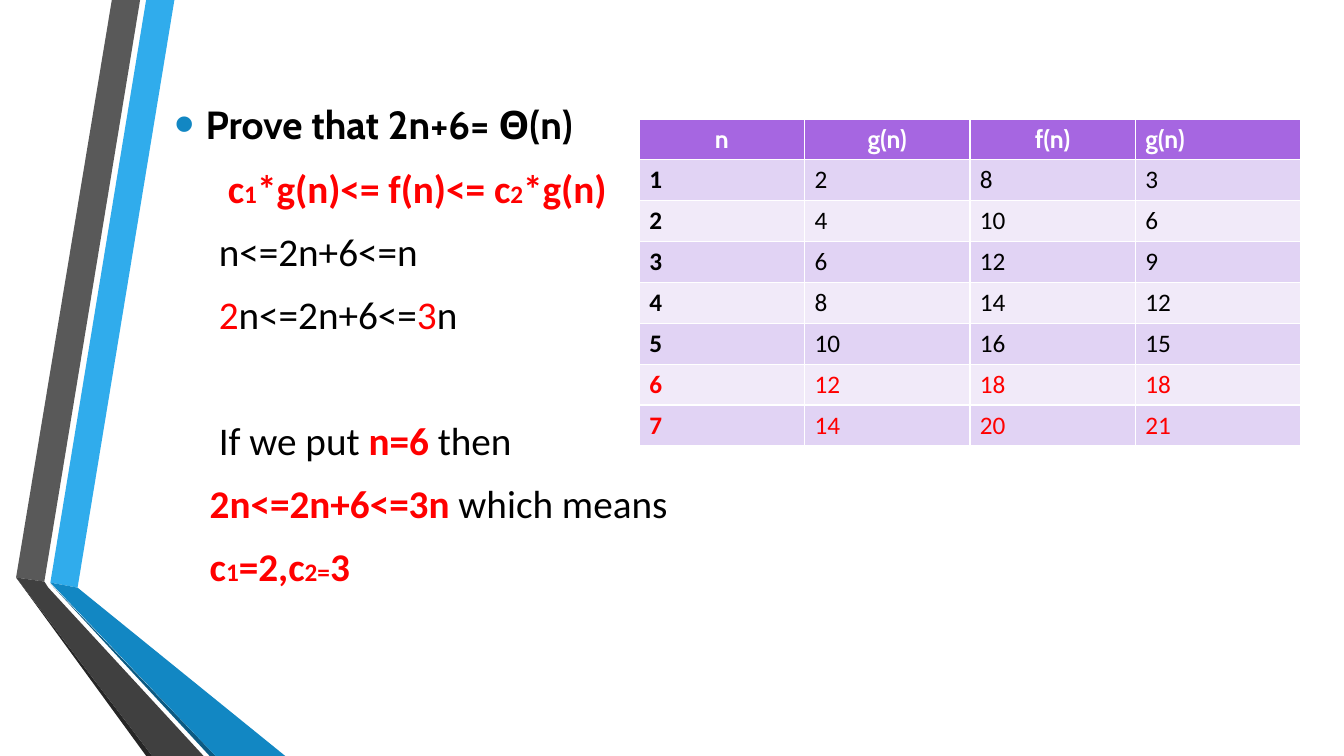
from dataclasses import dataclass

from lxml import etree
from pptx import Presentation
from pptx import util as u
from pptx.dml.color import RGBColor
from pptx.enum import text
from pptx.oxml.ns import qn

COLOURS = {
    "black": "000000", "white": "FFFFFF", "red": "FF0000",
    "blue": "30ACEC", "mid_blue": "1287C3", "deep_blue": "0C5A82",
    "grey": "595959", "dark_grey": "404040", "deep_grey": "262626",
    "header": "A666E1", "odd_row": "E1D3F4", "even_row": "F1EAF9",
}


@dataclass
class Band:
    colour: str
    points: list[tuple[float, float]]


@dataclass
class Span:
    words: str
    colour: str = "black"
    bold: bool = False
    size: int = 28
    font: str = "Calibri"


@dataclass
class Line:
    spans: list[Span]
    margin: float
    bullet: bool = False
    gap_before: float | None = None


def key(words: str, size: int = 28) -> Span:
    """Bold red span."""
    return Span(words, "red", True, size)


# Ribbon on the left edge
BANDS = [
    Band("blue", [(0.5, 5.78), (0.77, 5.83), (1.73, 0), (1.45, 0)]),
    Band("grey", [(1.39, 0), (1.11, 0), (0.16, 5.73), (0.44, 5.77)]),
    Band("deep_grey", [(0.16, 5.73), (1.45, 7.5), (1.51, 7.5)]),
    Band("deep_blue", [(0.5, 5.79), (2.08, 7.5), (2.14, 7.5)]),
    Band("mid_blue", [(0.5, 5.78), (2.14, 7.5), (2.83, 7.5), (0.77, 5.83)]),
    Band("dark_grey", [(2.02, 7.5), (0.48, 5.83), (0.44, 5.77), (0.16, 5.73), (1.51, 7.5)]),
]

# Proof, line by line
PROOF = [
    Line([Span("Prove that 2n+6= Θ(n)", bold=True, font="Cabin")], 0.31, bullet=True),
    Line([key("c"), key("1", 18), key("*g(n)<= f(n)<= c"), key("2", 18), key("*g(n)")], 0.53),
    Line([Span("n<=2n+6<=n")], 0.44),
    Line([Span("2", "red"), Span("n<=2n+6<="), Span("3", "red"), Span("n")], 0.44),
    Line([Span("If we put "), key("n=6 "), Span("then")], 0.44, gap_before=50),
    Line([key("2n<=2n+6<=3n "), Span("which means")], 0.35),
    Line([key("c"), key("1", 18), key("=2,c"), key("2=", 18), key("3")], 0.35),
]

HEADINGS = ["n", "g(n)", "f(n)", "g(n)"]
VALUES = [[n, 2 * n, 2 * n + 6, 3 * n] for n in range(1, 8)]
PROVED_FROM = 6


def rgb(name: str) -> RGBColor:
    return RGBColor.from_string(COLOURS[name])


def add_span(paragraph, span: Span) -> None:
    run = paragraph.add_run()
    run.text = span.words
    formats = {"name": span.font, "size": u.Pt(span.size), "bold": span.bold}
    for name, value in formats.items():
        setattr(run.font, name, value)
    run.font.color.rgb = rgb(span.colour)


def add_band(slide, band: Band) -> None:
    start, *rest = [(u.Inches(x), u.Inches(y)) for x, y in band.points]
    builder = slide.shapes.build_freeform(*start)
    builder.add_line_segments(rest, close=True)
    shape = builder.convert_to_shape()
    shape.shadow.inherit = False
    shape.fill.solid()
    shape.fill.fore_color.rgb = rgb(band.colour)
    shape.line.fill.background()


def set_bullet(paragraph, line: Line) -> None:
    properties = paragraph._p.get_or_add_pPr()
    properties.set("marL", str(u.Inches(line.margin)))
    properties.set("indent", str(u.Inches(-line.margin if line.bullet else 0)))
    if not line.bullet:
        etree.SubElement(properties, qn("a:buNone"))
        return
    colour = etree.SubElement(properties, qn("a:buClr"))
    etree.SubElement(colour, qn("a:srgbClr"), val=COLOURS["mid_blue"])
    etree.SubElement(properties, qn("a:buSzPct"), val="145000")
    etree.SubElement(properties, qn("a:buFont"), typeface="Arial")
    etree.SubElement(properties, qn("a:buChar"), char="•")


def fill_proof(body) -> None:
    place = {"left": 1.63, "top": 0.57, "width": 10.67, "height": 5.71}
    for name, value in place.items():
        setattr(body, name, u.Inches(value))
    frame = body.text_frame
    formats = {"word_wrap": True, "auto_size": text.MSO_AUTO_SIZE.NONE,
               "vertical_anchor": text.MSO_ANCHOR.MIDDLE}
    for name, value in formats.items():
        setattr(frame, name, value)
    for index, line in enumerate(PROOF):
        paragraph = frame.add_paragraph() if index else frame.paragraphs[0]
        paragraph.space_after = u.Pt(6)
        if line.gap_before is not None:
            paragraph.space_before = u.Pt(line.gap_before)
        set_bullet(paragraph, line)
        for span in line.spans:
            add_span(paragraph, span)


def fill_cell(cell, fill: str, span: Span, centred: bool = False) -> None:
    cell.fill.solid()
    cell.fill.fore_color.rgb = rgb(fill)
    paragraph = cell.text_frame.paragraphs[0]
    if centred:
        paragraph.alignment = text.PP_ALIGN.CENTER
    add_span(paragraph, span)


def add_value_table(slide) -> None:
    rows, columns = len(VALUES) + 1, len(HEADINGS)
    table = slide.shapes.add_table(
        rows, columns, u.Inches(6.34), u.Inches(1.18),
        u.Inches(1.64 * columns), u.Inches(0.4 * rows)).table
    for column, heading in enumerate(HEADINGS):
        span = Span(heading, "white", True, 18, "Cabin")
        fill_cell(table.cell(0, column), "header", span, centred=column < columns - 1)
    for row, values in enumerate(VALUES, start=1):
        fill = "odd_row" if row % 2 else "even_row"
        colour = "red" if row >= PROVED_FROM else "black"
        for column, value in enumerate(values):
            span = Span(str(value), colour, column == 0, 18)
            fill_cell(table.cell(row, column), fill, span)


def main() -> None:
    presentation = Presentation()
    presentation.slide_width = u.Inches(13.33)
    presentation.slide_height = u.Inches(7.5)
    layout = presentation.slide_layouts.get_by_name("Title and Content")
    slide = presentation.slides.add_slide(layout)

    # The slide has no title
    title = slide.shapes.title.element
    title.getparent().remove(title)

    for band in BANDS:
        add_band(slide, band)
    fill_proof(slide.placeholders[1])
    add_value_table(slide)
    presentation.save("out.pptx")


if __name__ == "__main__":
    main()
